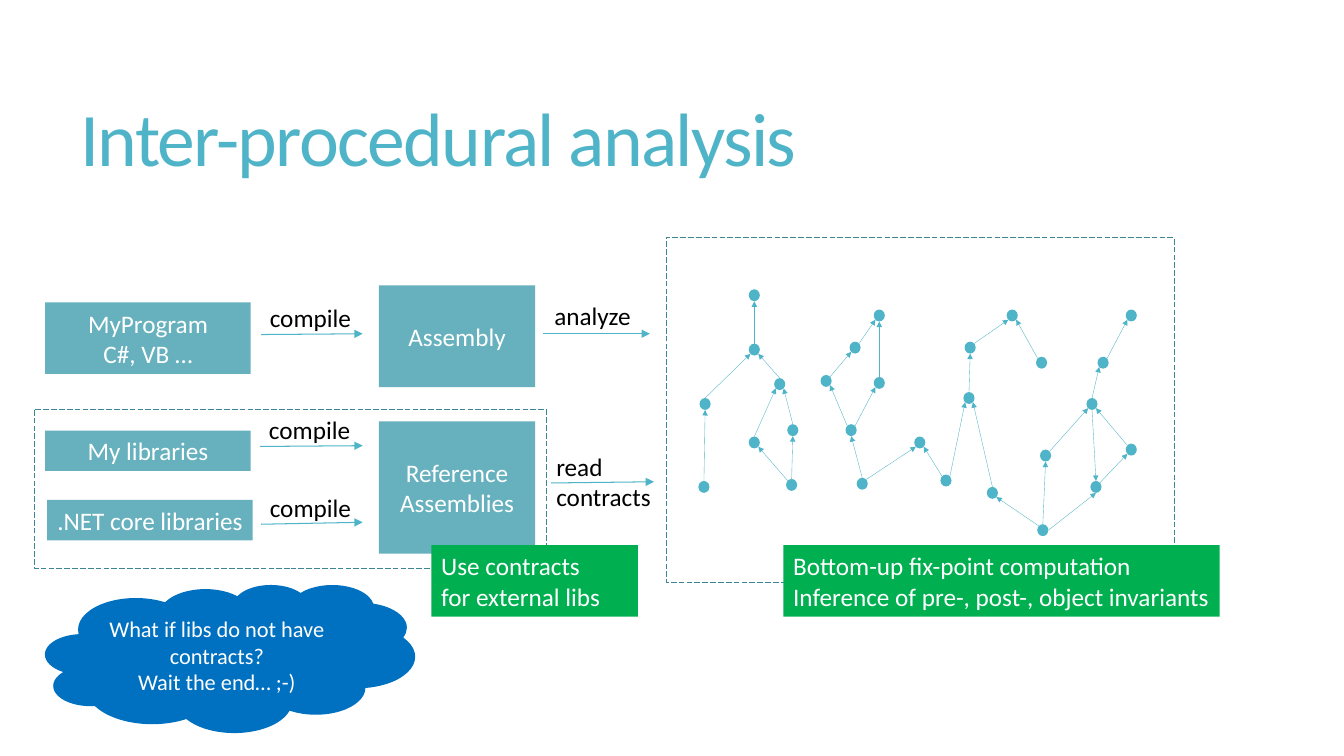
from dataclasses import dataclass
from typing import NamedTuple

from lxml.etree import SubElement
from pptx import Presentation
from pptx.dml.color import RGBColor
from pptx.enum.dml import MSO_LINE_DASH_STYLE as Dash
from pptx.enum.shapes import MSO_AUTO_SHAPE_TYPE as Shape, MSO_CONNECTOR_TYPE as Connector
from pptx.enum.text import (MSO_AUTO_SIZE as AutoSize, MSO_VERTICAL_ANCHOR as Anchor,
                            PP_PARAGRAPH_ALIGNMENT as Align)
from pptx.oxml.ns import qn
from pptx.shapes.autoshape import Shape as AutoShape
from pptx.slide import Slide
from pptx.util import Cm, Pt

TEAL = RGBColor(0x50, 0xB4, 0xC8)
DARK_TEAL = RGBColor(0x3B, 0x85, 0x94)
MUTED_TEAL = RGBColor(0x66, 0xB1, 0xBD)
GREEN = RGBColor(0x00, 0xB0, 0x50)
BLUE = RGBColor(0x00, 0x70, 0xC0)
WHITE = RGBColor(0xFF, 0xFF, 0xFF)
BLACK = RGBColor(0x00, 0x00, 0x00)

NODE_WIDTH, NODE_HEIGHT = 0.28, 0.3
DIAGONAL = 0.35
SITES = {
    "N": (0, -0.5), "S": (0, 0.5), "E": (0.5, 0),
    "NW": (-DIAGONAL, -DIAGONAL), "NE": (DIAGONAL, -DIAGONAL),
    "SW": (-DIAGONAL, DIAGONAL), "SE": (DIAGONAL, DIAGONAL),
}


class Area(NamedTuple):
    left: float
    top: float
    width: float
    height: float


class Point(NamedTuple):
    x: float
    y: float


class Call(NamedTuple):
    caller: int
    caller_site: str
    callee: int
    callee_site: str


class Flow(NamedTuple):
    start: Point
    end: Point


@dataclass
class Block:
    text: str
    area: Area
    fill: RGBColor = MUTED_TEAL
    align: Align = Align.CENTER
    kind: Shape = Shape.RECTANGLE
    size: int = 18
    wrap: bool = True


@dataclass
class Label:
    text: str
    area: Area
    size: int = 18
    color: RGBColor = BLACK
    wrap: bool = False
    line_spacing: float = 1.0
    tracking: int = 0


TITLE = Label("Inter-procedural analysis", Area(1.78, 1.32, 29.92, 4.6),
              54, TEAL, True, 0.85, -120)
LIBRARY_FRAME = Area(0.86, 10.31, 12.9, 4.01)
GRAPH_FRAME = Area(16.79, 5.99, 12.8, 8.69)

ASSEMBLIES = [
    Block("Assembly", Area(9.55, 7.19, 3.94, 2.57)),
    Block("MyProgram\nC#, VB …", Area(1.14, 7.62, 5.18, 1.8)),
    Block("Reference\nAssemblies", Area(9.55, 10.62, 3.94, 3.33)),
    Block(".NET core libraries", Area(1.19, 12.6, 5.18, 1.02)),
    Block("My libraries", Area(1.14, 10.85, 5.18, 1.02)),
]
REMARKS = [
    Block("Bottom-up fix-point computation\nInference of pre-, post-, object invariants",
          Area(19.74, 13.74, 11, 1.8), GREEN, Align.LEFT, wrap=False),
    Block("Use contracts\nfor external libs", Area(10.87, 13.74, 5.21, 1.8), GREEN, Align.LEFT),
    Block("What if libs do not have contracts?\nWait the end… ;-)",
          Area(1.14, 14.73, 9.32, 3.73), BLUE, kind=Shape.CLOUD, size=16),
]
STEPS = [
    Label("compile", Area(6.55, 7.49, 2.57, 1.02)),
    Label("analyze", Area(13.72, 7.44, 2.6, 1.02)),
    Label("read\ncontracts", Area(13.77, 11.23, 2.9, 1.8)),
    Label("compile", Area(6.53, 10.31, 2.57, 1.02)),
    Label("compile", Area(6.55, 12.27, 2.57, 1.02)),
]
FLOWS = [
    Flow(Point(6.58, 8.43), Point(9.14, 8.41)),
    Flow(Point(13.89, 12.17), Point(16.48, 12.14)),
    Flow(Point(13.69, 8.41), Point(16.38, 8.41)),
    Flow(Point(6.55, 11.25), Point(9.14, 11.23)),
    Flow(Point(6.58, 13.21), Point(9.14, 13.16)),
]
METHODS = [Point(*corner) for corner in (
    (18.87, 8.66), (17.63, 10.03), (19.51, 9.53), (19.84, 10.69), (18.87, 11), (18.87, 7.29),
    (22.02, 9.5), (23.04, 11), (21.31, 10.69), (21.41, 8.61), (22.02, 7.8), (20.68, 9.45),
    (24.31, 8.61), (24.28, 9.88), (25.37, 7.8), (26.11, 8.99), (26.21, 11.33), (27.38, 10.03),
    (23.7, 11.96), (21.59, 12.04), (19.81, 12.07), (17.6, 12.12), (27.48, 12.12),
    (26.14, 13.21), (24.87, 12.27), (28.37, 7.8), (27.66, 8.99), (28.37, 11.18),
)]
CALLS = [Call(*ends) for ends in (
    (3, "S", 20, "N"), (1, "S", 21, "N"), (2, "SW", 4, "N"), (2, "SE", 3, "N"),
    (0, "SW", 1, "N"), (0, "SE", 2, "N"), (5, "S", 0, "N"), (4, "SE", 20, "NW"),
    (8, "S", 19, "N"), (11, "SE", 8, "NW"), (9, "SW", 11, "NE"), (10, "SW", 9, "NE"),
    (7, "SW", 19, "NE"), (6, "SW", 8, "NE"), (7, "SE", 18, "NW"), (13, "SW", 18, "NE"),
    (10, "S", 6, "N"), (12, "S", 13, "N"), (13, "SE", 24, "N"), (14, "SE", 15, "NW"),
    (14, "SW", 12, "NE"), (25, "SW", 26, "NE"), (16, "S", 23, "N"), (17, "SW", 16, "NE"),
    (24, "SE", 23, "NW"), (22, "S", 23, "E"), (27, "SW", 22, "NE"), (17, "SE", 27, "NW"),
    (26, "SW", 17, "N"), (22, "N", 17, "S"),
)]


def write_text(shape: AutoShape, text: str, size: int, color: RGBColor, align: Align,
               wrap: bool, line_spacing: float = 1.0, tracking: int = 0) -> None:
    frame = shape.text_frame
    frame.text = text
    frame_values = {"word_wrap": wrap, "vertical_anchor": Anchor.MIDDLE,
                    "auto_size": AutoSize.NONE if wrap else AutoSize.SHAPE_TO_FIT_TEXT}
    font_values = {"name": "Calibri", "size": Pt(size)}
    paragraph_values = {"alignment": align, "line_spacing": line_spacing}
    for name, value in frame_values.items():
        setattr(frame, name, value)
    for paragraph in frame.paragraphs:
        for name, value in paragraph_values.items():
            setattr(paragraph, name, value)
        for run in paragraph.runs:
            for name, value in font_values.items():
                setattr(run.font, name, value)
            run.font.color.rgb = color
            if tracking:
                run.font._element.set("spc", str(tracking))


def add_filled(slide: Slide, kind: Shape, area: Area, fill: RGBColor) -> AutoShape:
    shape = slide.shapes.add_shape(kind, *map(Cm, area))
    shape.shadow.inherit = False
    shape.fill.solid()
    shape.fill.fore_color.rgb = fill
    shape.line.fill.background()
    return shape


def add_block(slide: Slide, block: Block) -> None:
    shape = add_filled(slide, block.kind, block.area, block.fill)
    write_text(shape, block.text, block.size, WHITE, block.align, block.wrap)


def add_label(slide: Slide, label: Label) -> None:
    box = slide.shapes.add_textbox(*map(Cm, label.area))
    write_text(box, label.text, label.size, label.color, Align.LEFT, label.wrap,
               label.line_spacing, label.tracking)


def add_frame(slide: Slide, area: Area) -> None:
    frame = slide.shapes.add_shape(Shape.RECTANGLE, *map(Cm, area))
    frame.shadow.inherit = False
    frame.fill.background()
    frame.line.color.rgb = DARK_TEAL
    for name, value in {"width": Pt(0.5), "dash_style": Dash.LONG_DASH}.items():
        setattr(frame.line, name, value)


def add_arrow(slide: Slide, flow: Flow, width: float, arrow_end: str, tip: str) -> None:
    arrow = slide.shapes.add_connector(Connector.STRAIGHT, *map(Cm, (*flow.start, *flow.end)))
    arrow.line.color.rgb = TEAL
    arrow.line.width = Pt(width)
    SubElement(arrow.line._get_or_add_ln(), qn(arrow_end), type="triangle", w=tip, len=tip)
    SubElement(arrow._element.spPr, qn("a:effectLst"))


def site_of(method: int, site: str) -> Point:
    corner, (across, down) = METHODS[method], SITES[site]
    return Point(corner.x + NODE_WIDTH * (0.5 + across), corner.y + NODE_HEIGHT * (0.5 + down))


def main() -> None:
    deck = Presentation()
    deck.slide_width, deck.slide_height = Cm(33.87), Cm(19.05)
    slide = deck.slides.add_slide(deck.slide_layouts[6])
    add_frame(slide, LIBRARY_FRAME)
    add_label(slide, TITLE)
    for corner in METHODS:
        add_filled(slide, Shape.FLOWCHART_CONNECTOR, Area(*corner, NODE_WIDTH, NODE_HEIGHT), TEAL)
    for call in CALLS:
        link = Flow(site_of(*call[:2]), site_of(*call[2:]))
        add_arrow(slide, link, 0.25, "a:headEnd", "sm")
    add_frame(slide, GRAPH_FRAME)
    for flow in FLOWS:
        add_arrow(slide, flow, 0.75, "a:tailEnd", "med")
    for step in STEPS:
        add_label(slide, step)
    for block in ASSEMBLIES + REMARKS:
        add_block(slide, block)
    deck.save("out.pptx")


if __name__ == "__main__":
    main()
